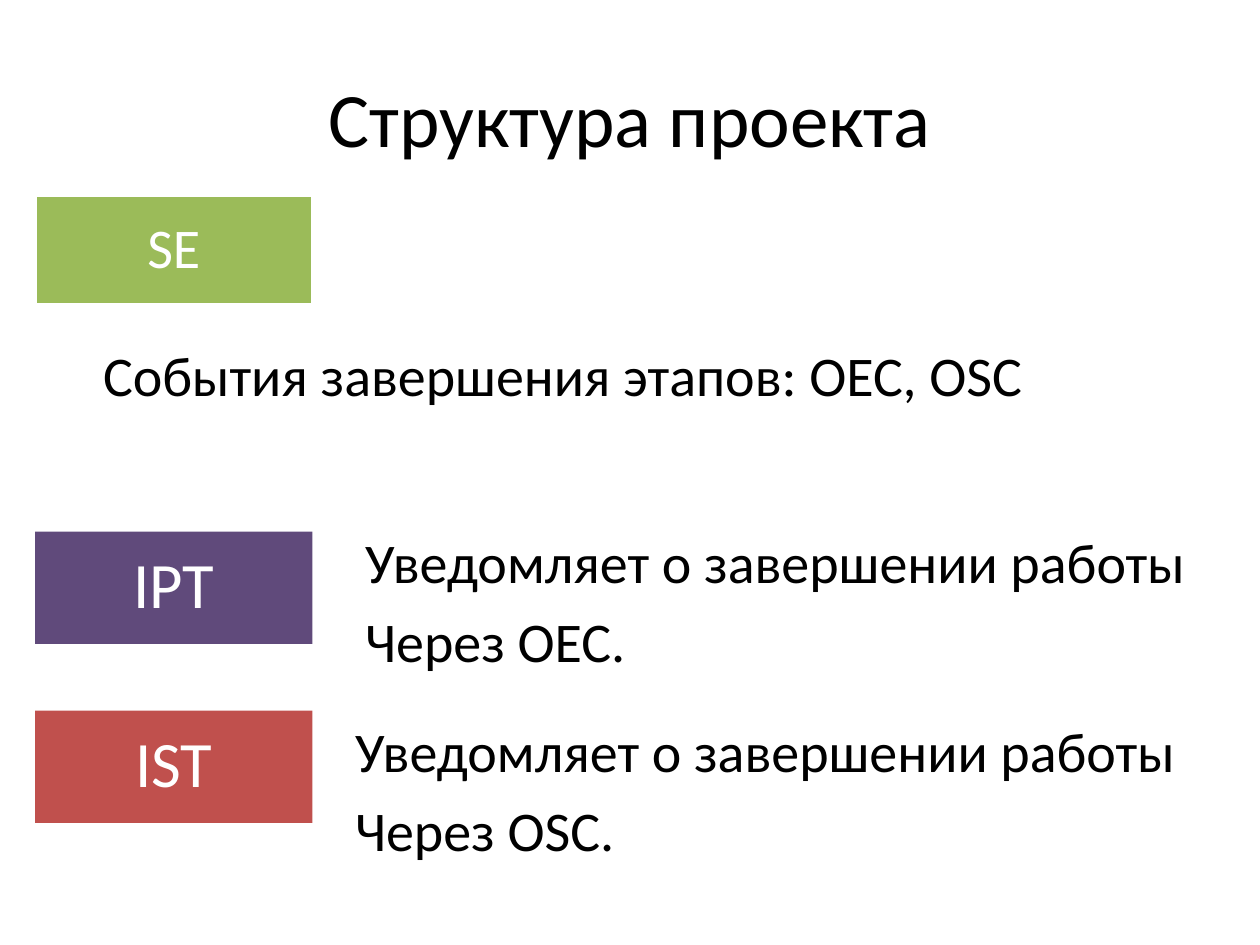
from pptx import Presentation
from pptx.dml.color import RGBColor
from pptx.enum import shapes, text
from pptx.util import Inches, Pt

BLACK = RGBColor(0x00, 0x00, 0x00)
WHITE = RGBColor(0xFF, 0xFF, 0xFF)
GREEN = RGBColor(0x9B, 0xBB, 0x59)
RED = RGBColor(0xC0, 0x50, 0x4D)
PURPLE = RGBColor(0x60, 0x4A, 0x7B)
FONT = "Calibri"

TITLE = "Структура проекта"
# label, top, height, fill, text size, inset, outline width
BLOCKS = [
    ("SE", 1.55, 0.87, GREEN, 32, 0.25, 2),
    ("IPT", 4.22, 0.89, PURPLE, 37, 0.15, 0),
    ("IST", 5.64, 0.89, RED, 37, 0.15, 0),
]
BLOCK_LEFT, BLOCK_WIDTH = 0.28, 2.2
# left, top, lines
NOTES = [
    (0.72, 2.65, ["События завершения этапов: OEC, OSC"]),
    (2.8, 4.14, ["Уведомляет о завершении работы", "Через OEC."]),
    (2.72, 5.64, ["Уведомляет о завершении работы", "Через OSC."]),
]
NOTE_WIDTH, NOTE_HEIGHT, NOTE_SIZE = 9, 1.34, 32


def write(box, lines, size, color, align, before=0):
    frame = box.text_frame
    frame.word_wrap = True
    frame.text = "\n".join(lines)
    for para in frame.paragraphs:
        para.alignment = align
        para.space_before = Pt(before)
        for span in para.runs:
            span.font.name = FONT
            span.font.size = Pt(size)
            span.font.color.rgb = color
    return frame


def add_block(slide, label, top, height, fill, size, inset, outline):
    block = slide.shapes.add_shape(
        shapes.MSO_SHAPE.RECTANGLE, Inches(BLOCK_LEFT), Inches(top),
        Inches(BLOCK_WIDTH), Inches(height))
    block.shadow.inherit = False
    block.fill.solid()
    block.fill.fore_color.rgb = fill
    if outline:
        block.line.color.rgb = WHITE
        block.line.width = Pt(outline)
    else:
        block.line.fill.background()
    frame = write(block, [label], size, WHITE, text.PP_ALIGN.CENTER)
    frame.paragraphs[0].line_spacing = 0.9
    frame.vertical_anchor = text.MSO_ANCHOR.MIDDLE
    frame.margin_left = frame.margin_right = Inches(inset)
    frame.margin_top = frame.margin_bottom = Inches(inset)


def main():
    deck = Presentation()
    deck.slide_width, deck.slide_height = Inches(10), Inches(7.5)
    slide = deck.slides.add_slide(deck.slide_layouts[6])

    title = slide.shapes.add_textbox(
        Inches(0.5), Inches(0.3), Inches(9), Inches(1.25))
    frame = write(title, [TITLE], 44, BLACK, text.PP_ALIGN.CENTER)
    frame.vertical_anchor = text.MSO_ANCHOR.MIDDLE

    for block in BLOCKS:
        add_block(slide, *block)
    for left, top, lines in NOTES:
        note = slide.shapes.add_textbox(
            Inches(left), Inches(top), Inches(NOTE_WIDTH), Inches(NOTE_HEIGHT))
        write(note, lines, NOTE_SIZE, BLACK, text.PP_ALIGN.LEFT,
              before=0.2 * NOTE_SIZE)

    deck.save("out.pptx")


if __name__ == "__main__":
    main()
